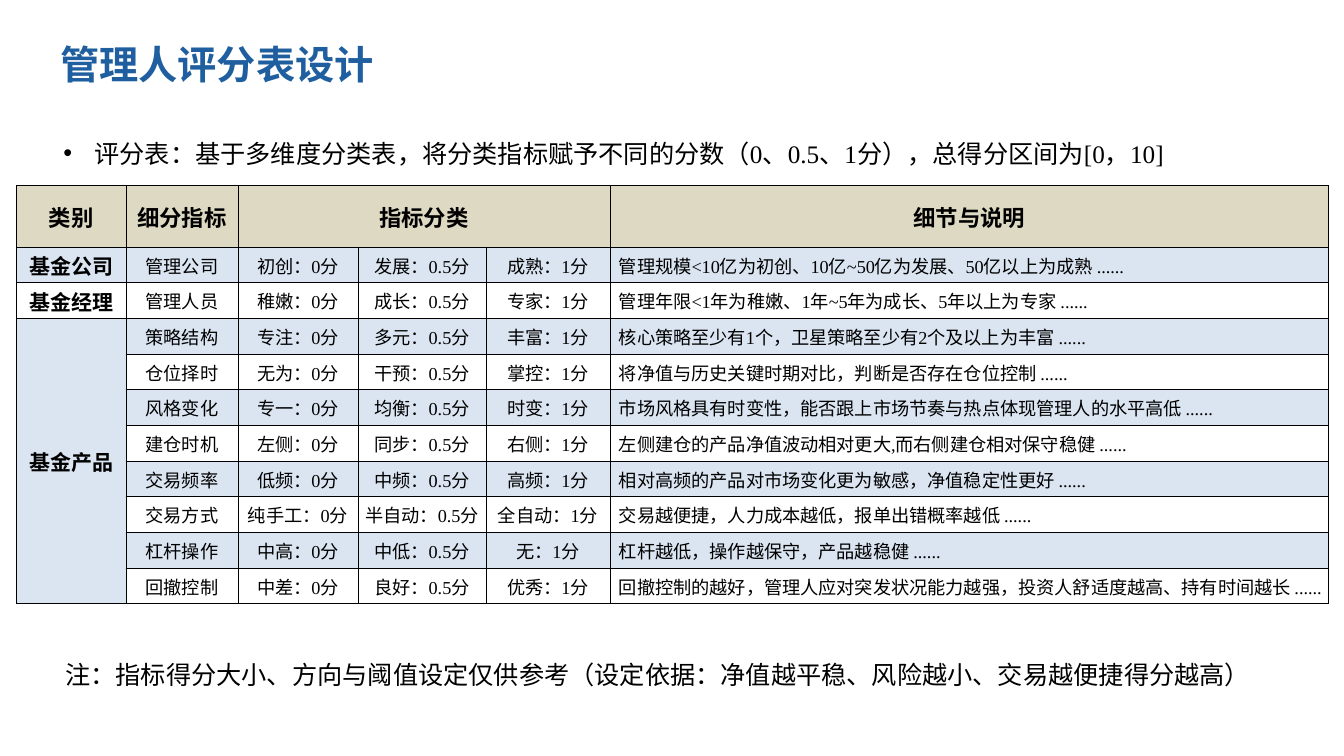
import dataclasses
import lxml.etree
import pptx
import pptx.dml.color
import pptx.enum.lang
import pptx.enum.text
import pptx.oxml.ns
import pptx.util

Inches = pptx.util.Inches
RGBColor = pptx.dml.color.RGBColor
Align = pptx.enum.text.PP_ALIGN
Anchor = pptx.enum.text.MSO_ANCHOR
qn = pptx.oxml.ns.qn

FONT = "Times New Roman"
BLACK = RGBColor(0x00, 0x00, 0x00)
WHITE = RGBColor(0xFF, 0xFF, 0xFF)
BLUE = RGBColor(0x1F, 0x5F, 0xA0)
SAND = RGBColor(0xDD, 0xD9, 0xC3)
PALE = RGBColor(0xDB, 0xE5, 0xF1)


@dataclasses.dataclass
class Metric:
    name: str
    levels: tuple[str, str, str]
    detail: str
    group: str = ""


@dataclasses.dataclass
class Box:
    text: str
    left: float
    top: float
    width: float
    height: float
    size: float = 18
    color: RGBColor = BLACK
    bold: bool = False
    space: float = 1.5
    anchor: Anchor = Anchor.TOP
    indent: float = 0
    bullet: str = ""


BOXES = [
    Box("管理人评分表设计", 0.5, 0.19, 12.35, 0.94, size=28, color=BLUE,
        bold=True, space=0.9, anchor=Anchor.MIDDLE),
    Box("评分表：基于多维度分类表，将分类指标赋予不同的分数（0、0.5、1分），总得分区间为[0，10]",
        0.53, 1.17, 12.34, 0.56, indent=0.31, bullet="•"),
    Box("注：指标得分大小、方向与阈值设定仅供参考（设定依据：净值越平稳、风险越小、交易越便捷得分越高）",
        0.55, 6.34, 12.34, 0.56, indent=0.31),
]
HEADS = {0: "类别", 1: "细分指标", 2: "指标分类", 5: "细节与说明"}
SCORES = ("0", "0.5", "1")
METRICS = [
    Metric("管理公司", ("初创", "发展", "成熟"),
           "管理规模<10亿为初创、10亿~50亿为发展、50亿以上为成熟 ......", "基金公司"),
    Metric("管理人员", ("稚嫩", "成长", "专家"),
           "管理年限<1年为稚嫩、1年~5年为成长、5年以上为专家 ......", "基金经理"),
    Metric("策略结构", ("专注", "多元", "丰富"),
           "核心策略至少有1个，卫星策略至少有2个及以上为丰富 ......", "基金产品"),
    Metric("仓位择时", ("无为", "干预", "掌控"),
           "将净值与历史关键时期对比，判断是否存在仓位控制 ......"),
    Metric("风格变化", ("专一", "均衡", "时变"),
           "市场风格具有时变性，能否跟上市场节奏与热点体现管理人的水平高低 ......"),
    Metric("建仓时机", ("左侧", "同步", "右侧"),
           "左侧建仓的产品净值波动相对更大,而右侧建仓相对保守稳健 ......"),
    Metric("交易频率", ("低频", "中频", "高频"),
           "相对高频的产品对市场变化更为敏感，净值稳定性更好 ......"),
    Metric("交易方式", ("纯手工", "半自动", "全自动"),
           "交易越便捷，人力成本越低，报单出错概率越低 ......"),
    Metric("杠杆操作", ("中高", "中低", "无"),
           "杠杆越低，操作越保守，产品越稳健 ......"),
    Metric("回撤控制", ("中差", "良好", "优秀"),
           "回撤控制的越好，管理人应对突发状况能力越强，投资人舒适度越高、持有时间越长 ......"),
]
WIDTHS = (1.09, 1.11, 1.19, 1.27, 1.23, 7.13)
LEFT, TOP, HEIGHT, HEAD = 0.16, 1.84, 4.15, 0.61


def put_text(frame, text: str, *, size: float, color: RGBColor = BLACK,
             bold: bool = False, align: Align = Align.LEFT, space: float = 1,
             indent: float = 0, bullet: str = "") -> None:
    para = frame.paragraphs[0]
    para.alignment = align
    para.line_spacing = space
    props = para._p.get_or_add_pPr()
    if indent:
        props.set("marL", str(Inches(indent)))
        props.set("indent", str(-Inches(indent)))
    if bullet:
        mark = lxml.etree.SubElement(props, qn("a:buFont"))
        mark.set("typeface", "Arial")
        mark = lxml.etree.SubElement(props, qn("a:buChar"))
        mark.set("char", bullet)
    run = para.add_run()
    run.text = text
    font = run.font
    font.name = FONT
    font.size = pptx.util.Pt(size)
    font.bold = bold
    font.color.rgb = color
    font.language_id = pptx.enum.lang.MSO_LANGUAGE_ID.SIMPLIFIED_CHINESE


def add_box(slide, box: Box) -> None:
    shape = slide.shapes.add_textbox(Inches(box.left), Inches(box.top),
                                     Inches(box.width), Inches(box.height))
    frame = shape.text_frame
    frame.word_wrap = True
    frame.vertical_anchor = box.anchor
    put_text(frame, box.text, size=box.size, color=box.color, bold=box.bold,
             space=box.space, indent=box.indent, bullet=box.bullet)


def style_cell(cell, fill: RGBColor, inset: float) -> None:
    cell.vertical_anchor = Anchor.MIDDLE
    cell.margin_left = Inches(inset)
    cell.margin_right = cell.margin_top = Inches(0.01)
    cell.margin_bottom = 0
    props = cell._tc.get_or_add_tcPr()
    for side in ("a:lnL", "a:lnR", "a:lnT", "a:lnB"):
        line = lxml.etree.SubElement(props, qn(side))
        line.set("w", str(pptx.util.Pt(0.5)))
        paint = lxml.etree.SubElement(line, qn("a:solidFill"))
        lxml.etree.SubElement(paint, qn("a:srgbClr")).set("val", str(BLACK))
    cell.fill.solid()
    cell.fill.fore_color.rgb = fill


def add_grid(slide) -> None:
    count, last = len(METRICS), len(WIDTHS) - 1
    grid = slide.shapes.add_table(
        count + 1, len(WIDTHS), Inches(LEFT), Inches(TOP),
        Inches(sum(WIDTHS)), Inches(HEIGHT)).table
    grid.first_row = grid.horz_banding = False
    for col, width in zip(grid.columns, WIDTHS):
        col.width = Inches(width)
    for num, row in enumerate(grid.rows):
        row.height = Inches((HEIGHT - HEAD) / count if num else HEAD)
        fill = SAND if num == 0 else PALE if num % 2 else WHITE
        for pos, cell in enumerate(row.cells):
            style_cell(cell, fill, 0.09 if num and pos == last else 0.01)
    grid.cell(0, 2).merge(grid.cell(0, 4))
    grid.cell(3, 0).merge(grid.cell(count, 0))

    for pos, text in HEADS.items():
        put_text(grid.cell(0, pos).text_frame, text, size=16, bold=True,
                 align=Align.CENTER)
    for num, item in enumerate(METRICS, 1):
        if item.group:
            put_text(grid.cell(num, 0).text_frame, item.group, size=15,
                     bold=True, align=Align.CENTER)
        marks = [f"{name}：{score}分" for name, score in zip(item.levels, SCORES)]
        for pos, text in enumerate([item.name, *marks, item.detail], 1):
            put_text(grid.cell(num, pos).text_frame, text, size=13,
                     align=Align.LEFT if pos == last else Align.CENTER)


def main() -> None:
    deck = pptx.Presentation()
    deck.slide_width = Inches(13.33)
    deck.slide_height = Inches(7.5)
    slide = deck.slides.add_slide(deck.slide_layouts[6])
    for box in BOXES:
        add_box(slide, box)
    add_grid(slide)
    deck.save("out.pptx")


if __name__ == "__main__":
    main()
